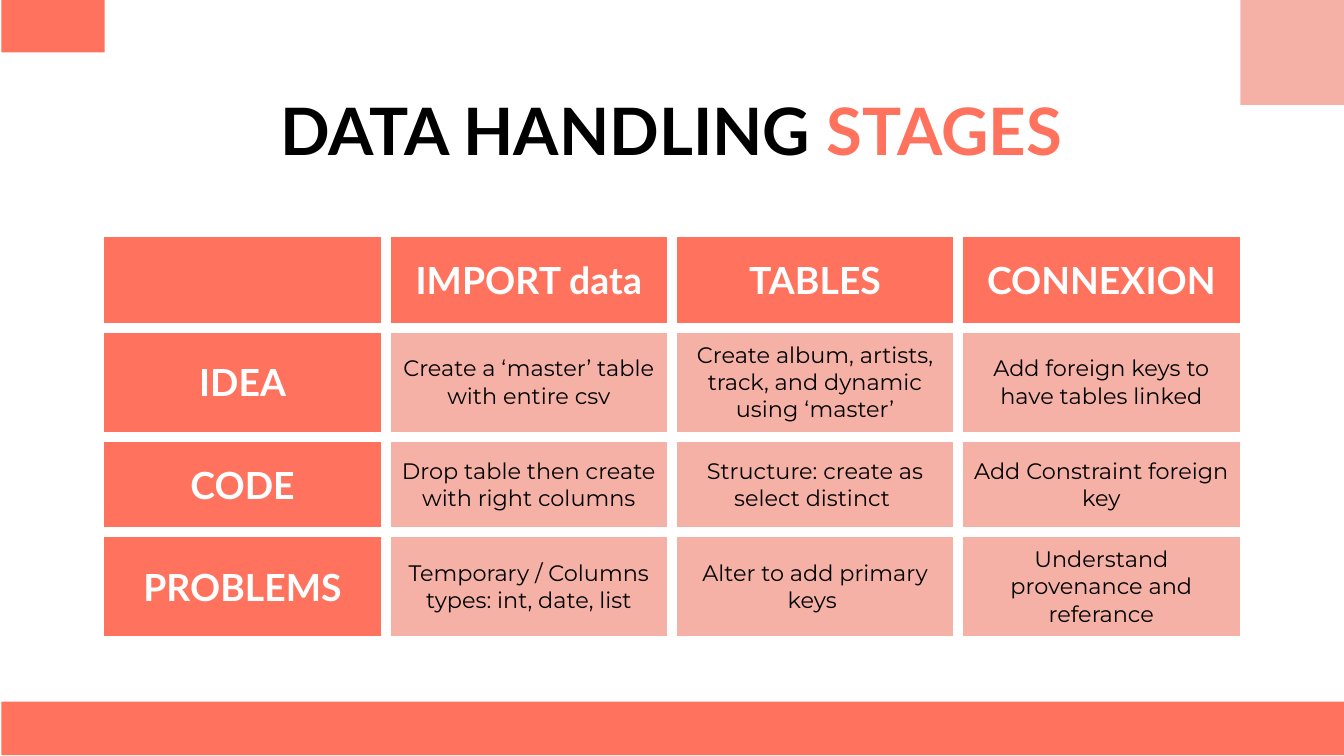
from lxml.etree import SubElement
from pptx import Presentation
from pptx.dml.color import RGBColor
from pptx.enum.shapes import MSO_SHAPE
from pptx.enum.text import MSO_ANCHOR, MSO_AUTO_SIZE, PP_ALIGN
from pptx.oxml.ns import qn
from pptx.util import Inches, Pt

COLORS = {"coral": "FF725E", "pink": "F6B1A7", "white": "FFFFFF", "black": "000000"}
INSET = Inches(0.1)
ROWS = [
    ["", "IMPORT data", "TABLES", "CONNEXION"],
    ["IDEA", "Create a ‘master’ table with entire csv",
     "Create album, artists, track, and dynamic using ‘master’",
     "Add foreign keys to have tables linked"],
    ["CODE", "Drop table then create with right columns",
     "Structure: create as select distinct ", "Add Constraint foreign key"],
    ["PROBLEMS", "Temporary / Columns types: int, date, list",
     "Alter to add primary keys ", "Understand provenance and referance"],
]


def color(name):
    return RGBColor.from_string(COLORS[name])


def set_font(font, name, size, fill, bold):
    font.name, font.size, font.bold = name, Pt(size), bold
    font.color.rgb = color(fill)


def set_insets(box):
    box.margin_left = box.margin_right = INSET
    box.margin_top = box.margin_bottom = INSET
    box.vertical_anchor = MSO_ANCHOR.MIDDLE


def add_block(slide, left, top, width, height, fill):
    sp = slide.shapes.add_shape(MSO_SHAPE.RECTANGLE, Inches(left), Inches(top),
                                Inches(width), Inches(height))
    sp.shadow.inherit = False
    sp.fill.solid()
    sp.fill.fore_color.rgb = color(fill)
    sp.line.fill.background()


def add_decoration(slide, width, height):
    """Corner blocks and bottom band."""
    corner = 0.77
    add_block(slide, 0.01, height - 0.4, width, 0.4, "coral")
    add_block(slide, 0.01, -0.01, corner, 0.4, "coral")
    add_block(slide, width - corner, -0.01, corner, 0.79, "pink")


def fill_title(slide, left, top, width, height):
    title = slide.shapes.title
    title.left, title.top = Inches(left), Inches(top)
    title.width, title.height = Inches(width), Inches(height)
    tf = title.text_frame
    tf.word_wrap, tf.auto_size = True, MSO_AUTO_SIZE.NONE
    set_insets(tf)
    p = tf.paragraphs[0]
    p.alignment = PP_ALIGN.CENTER
    for text, fill in [("DATA HANDLING ", "black"), ("STAGES", "coral")]:
        r = p.add_run()
        r.text = text
        set_font(r.font, "Lato", 35, fill, True)


def set_borders(cell, fill, width):
    tc_pr = cell._tc.get_or_add_tcPr()
    for i, side in enumerate("LRTB"):
        ln = SubElement(tc_pr, qn(f"a:ln{side}"), w=str(Pt(width)))
        SubElement(SubElement(ln, qn("a:solidFill")), qn("a:srgbClr"), val=COLORS[fill])
        tc_pr.insert(i, ln)  # borders precede the cell fill


def add_stage_table(slide, left, top, col_width, row_height):
    n_rows, n_cols = len(ROWS), len(ROWS[0])
    table = slide.shapes.add_table(
        n_rows, n_cols, Inches(left), Inches(top),
        Inches(col_width * n_cols), Inches(row_height * n_rows)).table
    for col in table.columns:
        col.width = Inches(col_width)
    for i, texts in enumerate(ROWS):
        table.rows[i].height = Inches(row_height)
        for j, text in enumerate(texts):
            header = i == 0 or j == 0
            cell = table.cell(i, j)
            cell.text = text
            set_insets(cell)
            cell.fill.solid()
            cell.fill.fore_color.rgb = color("coral" if header else "pink")
            set_borders(cell, "white", 6)
            p = cell.text_frame.paragraphs[0]
            p.alignment = PP_ALIGN.CENTER
            if header:
                set_font(p.font, "Lato", 20, "white", True)
            else:
                set_font(p.font, "Montserrat", 12, "black", False)


def main():
    prs = Presentation()
    prs.slide_width = Inches(10)
    prs.slide_height = prs.slide_width * 9 // 16
    slide = prs.slides.add_slide(prs.slide_layouts[5])
    add_decoration(slide, 10, 5.62)
    fill_title(slide, 0.65, 0.72, 8.69, 0.49)
    add_stage_table(slide, 0.74, 1.73, 2.13, 0.71)
    prs.save("out.pptx")


if __name__ == "__main__":
    main()
